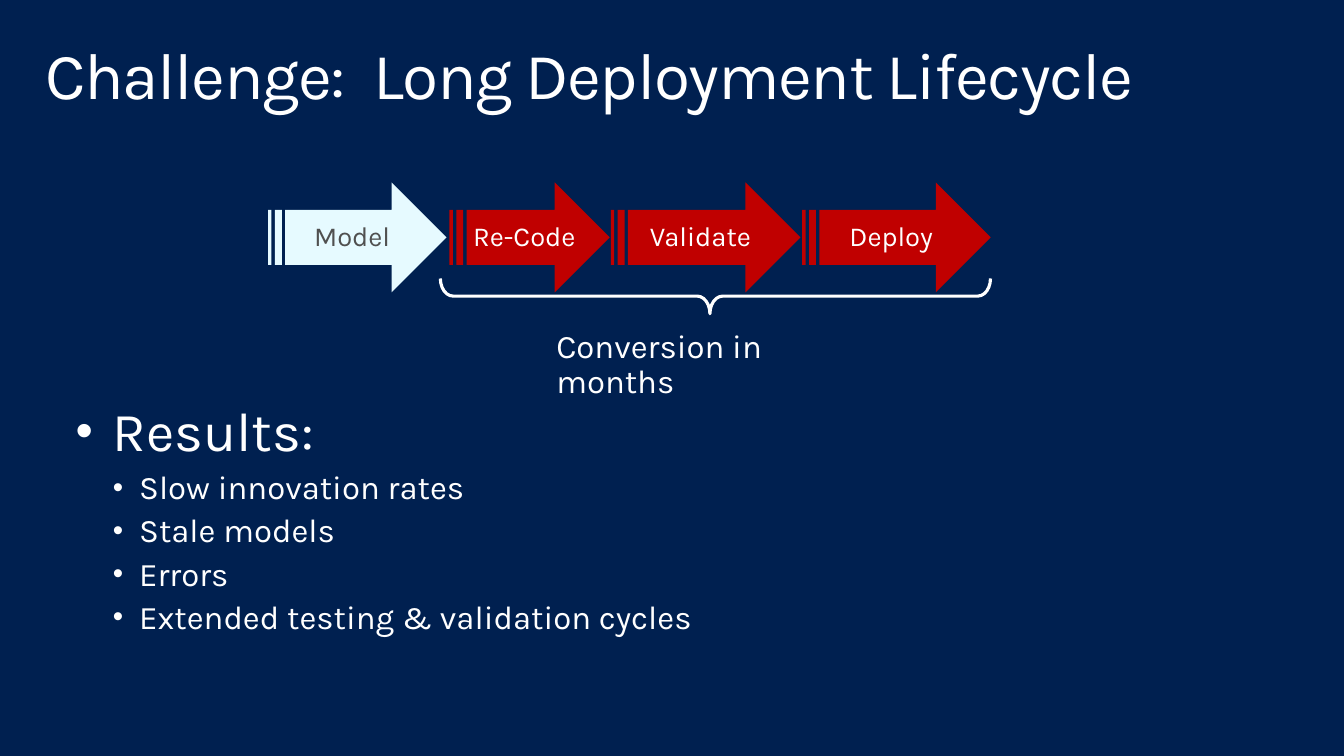
from lxml import etree
from pptx import Presentation
from pptx.dml.color import RGBColor
from pptx.enum.shapes import MSO_SHAPE
from pptx.enum.text import MSO_ANCHOR, MSO_AUTO_SIZE, PP_ALIGN
from pptx.oxml.ns import qn
from pptx.util import Pt

ARROW = MSO_SHAPE.STRIPED_RIGHT_ARROW
BRACE = MSO_SHAPE.RIGHT_BRACE
TOP, MIDDLE = MSO_ANCHOR.TOP, MSO_ANCHOR.MIDDLE
FIXED = MSO_AUTO_SIZE.NONE
LEFT, CENTER = PP_ALIGN.LEFT, PP_ALIGN.CENTER

THEME = {
    "font": "Karla",
    "navy": RGBColor.from_string("002050"),
    "white": RGBColor.from_string("FFFFFF"),
    "ice": RGBColor.from_string("E6FAFF"),
    "red": RGBColor.from_string("C00000"),
    "gray": RGBColor.from_string("505050"),
    "title": 47,
    "head": 39.2,
    "text": 23.5,
    "label": 19.6,
}


def set_frame(frame, side, edge, anchor):
    frame.word_wrap = True
    frame.auto_size = FIXED
    frame.vertical_anchor = anchor
    frame.margin_left = frame.margin_right = Pt(side)
    frame.margin_top = frame.margin_bottom = Pt(edge)


def set_text(para, text, size, color="white", align=LEFT):
    para.text = text
    para.alignment = align
    para.line_spacing = 0.9
    font = para.runs[0].font
    font.name = THEME["font"]
    font.size = Pt(THEME[size])
    font.color.rgb = THEME[color]


deck = Presentation()
deck.slide_width, deck.slide_height = Pt(960), Pt(540)
slide = deck.slides.add_slide(deck.slide_layouts[5])
slide.background.fill.solid()
slide.background.fill.fore_color.rgb = THEME["navy"]

title = slide.shapes.title
title.left, title.top, title.width, title.height = Pt(21), Pt(23), Pt(918), Pt(70.5)
set_frame(title.text_frame, 11.5, 7.2, TOP)
para = title.text_frame.paragraphs[0]
set_text(para, "Challenge:  Long Deployment Lifecycle", "title")
para.runs[0].font._element.set("spc", "-100")

results = [
    ("Results:", 0),
    ("Slow innovation rates", 1),
    ("Stale models", 1),
    ("Errors", 1),
    ("Extended testing & validation cycles", 1),
]
levels = [("head", 26.6, 26.6, 9.2), ("text", 45.4, 18.7, 5.5)]
body = slide.shapes.add_textbox(Pt(42.5), Pt(281.5), Pt(917), Pt(183))
frame = body.text_frame
set_frame(frame, 11.5, 7.2, TOP)
for i, (text, level) in enumerate(results):
    size, margin, hang, gap = levels[level]
    para = frame.add_paragraph() if i else frame.paragraphs[0]
    set_text(para, text, size)
    para.level = level
    para.space_before = Pt(gap)
    props = para._p.get_or_add_pPr()
    props.set("marL", str(Pt(margin)))
    props.set("indent", str(-Pt(hang)))
    etree.SubElement(props, qn("a:buSzPct")).set("val", "90000")
    etree.SubElement(props, qn("a:buFont")).set("typeface", "Arial")
    etree.SubElement(props, qn("a:buChar")).set("char", "•")

steps = [
    ("Model", 191.5, 127.5, "ice", "gray"),
    ("Re-Code", 321, 114.5, "red", "white"),
    ("Validate", 436.3, 135.4, "red", "white"),
    ("Deploy", 573, 134.7, "red", "white"),
]
group = slide.shapes.add_group_shape()
for text, left, width, fill, color in steps:
    arrow = group.shapes.add_shape(ARROW, Pt(left), Pt(130.3), Pt(width), Pt(78.5))
    arrow.shadow.inherit = False
    arrow.fill.solid()
    arrow.fill.fore_color.rgb = THEME[fill]
    arrow.line.fill.background()
    set_frame(arrow.text_frame, 0, 11.5, MIDDLE)
    set_text(arrow.text_frame.paragraphs[0], text, "label", color, CENTER)

brace = slide.shapes.add_shape(BRACE, Pt(498.4), Pt(15), Pt(25.2), Pt(393))
brace.rotation = 90
brace.adjustments[0], brace.adjustments[1] = 0.36, 0.51
brace.shadow.inherit = False
brace.fill.background()
brace.line.color.rgb = THEME["white"]
brace.line.width = Pt(2.25)

note = slide.shapes.add_textbox(Pt(383), Pt(224), Pt(257), Pt(48))
set_frame(note.text_frame, 14.4, 11.5, TOP)
para = note.text_frame.paragraphs[0]
set_text(para, "Conversion in months", "text")
para.space_after = Pt(5.9)

deck.save("out.pptx")
